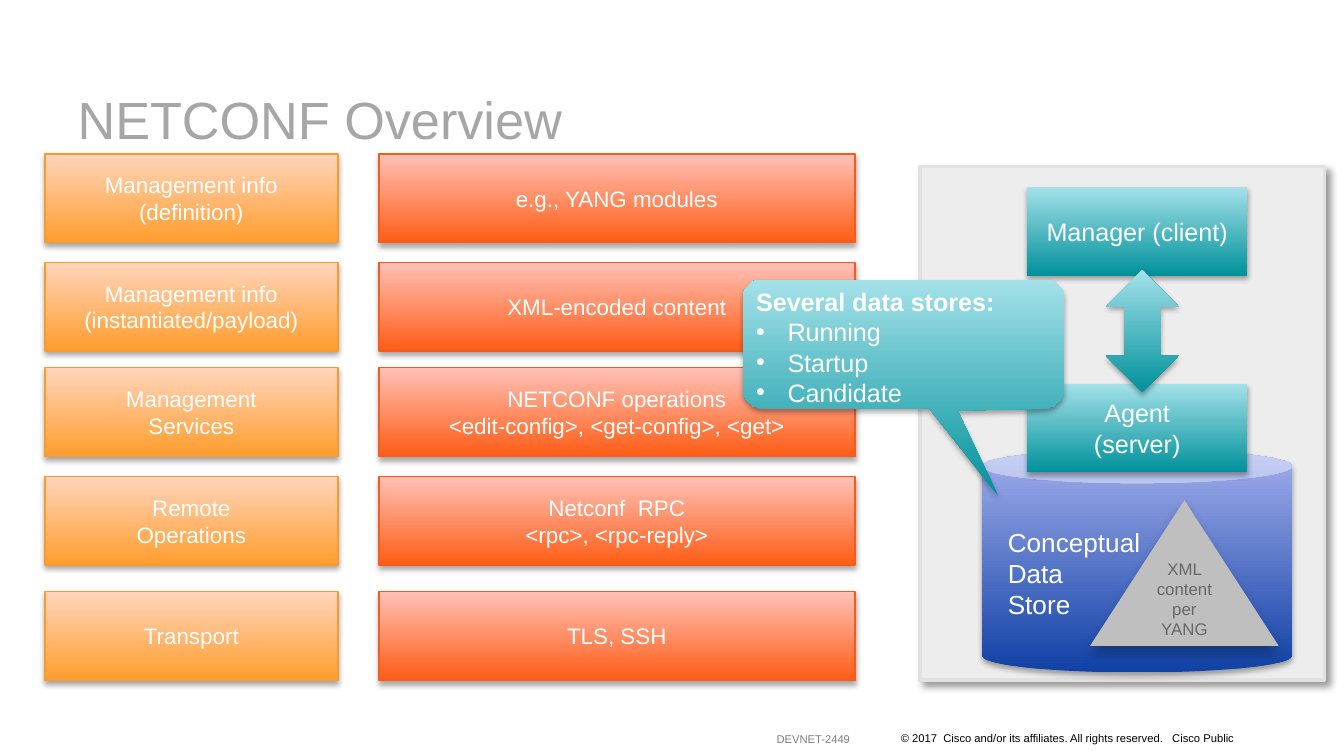
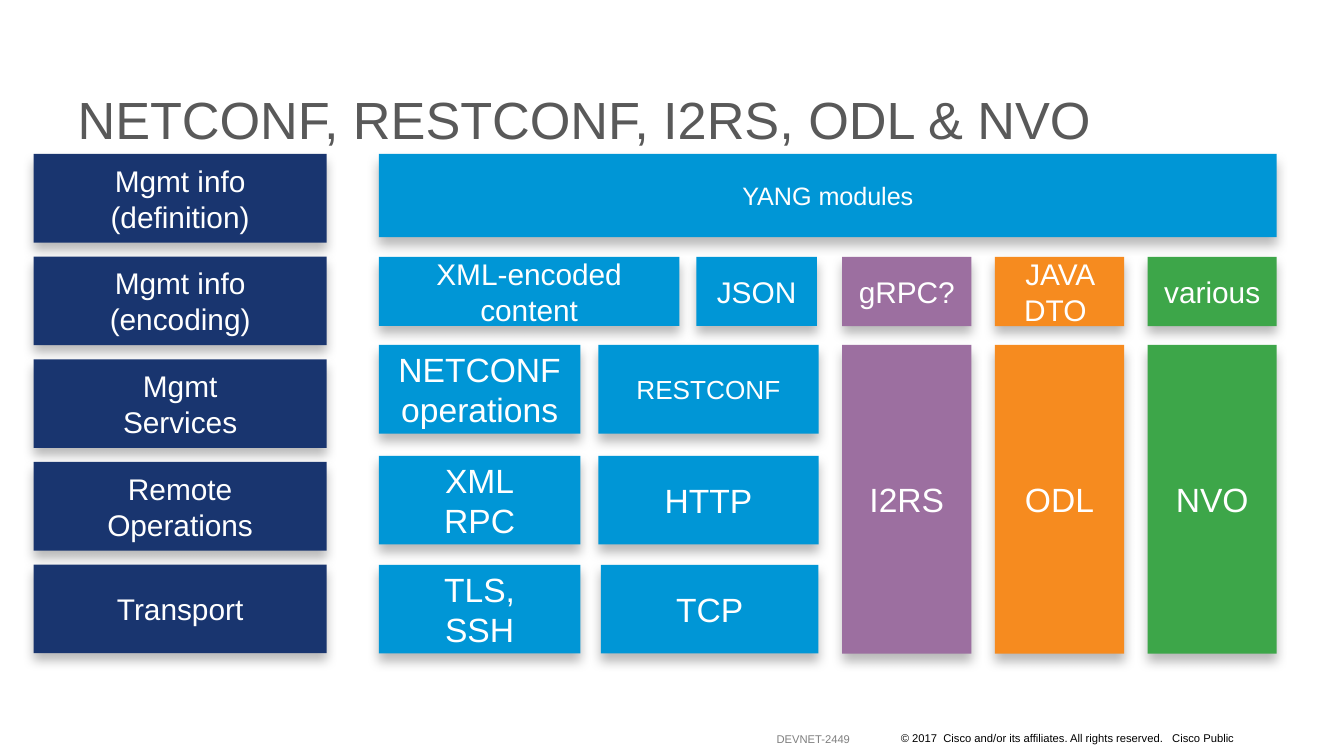
from dataclasses import dataclass
from math import cos, radians, sin

from lxml.etree import SubElement
from pptx import Presentation
from pptx.dml.color import RGBColor
from pptx.enum.shapes import MSO_SHAPE
from pptx.enum.text import MSO_ANCHOR, PP_ALIGN
from pptx.oxml.ns import qn
from pptx.shapes.autoshape import Shape
from pptx.slide import Slide
from pptx.util import Pt

FONT = "Arial"
WHITE = "FFFFFF"
CARD_H = 47.5
TOP = 82.5
LABEL_W = 157
MAIN_X = 203


@dataclass(frozen=True)
class Shadow:
    alpha: int
    blur: float
    dist: float
    angle: int = 90


@dataclass(frozen=True)
class Look:
    """One fill colour is solid; two run from the bottom to the top."""
    fill: tuple[str, ...]
    shadow: Shadow
    line: str | None = None
    line_w: float = 0.75


@dataclass(frozen=True)
class Box:
    x: float
    y: float
    w: float
    h: float


@dataclass(frozen=True)
class TextStyle:
    size: float
    color: str = WHITE
    align: PP_ALIGN = PP_ALIGN.LEFT
    anchor: MSO_ANCHOR = MSO_ANCHOR.TOP
    bold: bool = False


@dataclass(frozen=True)
class Card:
    box: Box
    text: str
    size: float
    look: Look


SOFT = Shadow(35, 3.1, 1.8)
DEEP = Shadow(27, 6, 4)
PANEL = Look(("EDEDED",), Shadow(40, 4, 3, 45), "E1E1E1", 2)
AMBER = Look(("FF9D2D", "FFD5BC"), SOFT, "F89A2D")
RED = Look(("FF5C15", "FFC1B7"), SOFT, "F25D1C")
TEAL = Look(("00919B", "A4E1E9"), SOFT)
STORE = Look(("1041A5", "A3AFED"), SOFT)
GREY = Look(("BFBFBF",), DEEP)
NAVY = Look(("19356F",), DEEP)
BLUE = Look(("0096D6",), DEEP)
PURPLE = Look(("9C6FA0",), DEEP)
ORANGE = Look(("F68B1F",), DEEP)
GREEN = Look(("3DA649",), DEEP)


def rgb(value: str) -> RGBColor:
    return RGBColor.from_string(value)


def apply_look(sp: Shape, look: Look) -> None:
    if len(look.fill) == 1:
        sp.fill.solid()
        sp.fill.fore_color.rgb = rgb(look.fill[0])
    else:
        sp.fill.gradient()
        sp.fill.gradient_angle = 90
        for stop, color in zip(sp.fill.gradient_stops, look.fill):
            stop.color.rgb = rgb(color)
    if look.line:
        sp.line.color.rgb = rgb(look.line)
        sp.line.width = Pt(look.line_w)
    else:
        sp.line.fill.background()
    sp.shadow.inherit = False
    effects = sp._element.spPr.find(qn("a:effectLst"))
    outer = SubElement(effects, qn("a:outerShdw"), {
        "blurRad": str(Pt(look.shadow.blur)), "dist": str(Pt(look.shadow.dist)),
        "dir": str(look.shadow.angle * 60000), "rotWithShape": "0"})
    color = SubElement(outer, qn("a:srgbClr"), val="000000")
    SubElement(color, qn("a:alpha"), val=str(look.shadow.alpha * 1000))


def add_paragraph(sp: Shape, text: str, style: TextStyle, bullet: bool = False) -> None:
    """Fill the empty first paragraph or add one; a vertical tab breaks the line."""
    tf = sp.text_frame
    p = tf.add_paragraph() if tf.text else tf.paragraphs[0]
    p.alignment = style.align
    if bullet:
        pPr = p._p.get_or_add_pPr()
        pPr.set("marL", str(Pt(16.8)))
        pPr.set("indent", str(-Pt(16.8)))
        SubElement(pPr, qn("a:buFont"), typeface=FONT)
        SubElement(pPr, qn("a:buChar"), char="•")
    for i, line in enumerate(text.split("\v")):
        if i:
            p.add_line_break()
        r = p.add_run()
        r.text = line
        r.font.name = FONT
        r.font.size = Pt(style.size)
        r.font.bold = style.bold
        r.font.color.rgb = rgb(style.color)


def write(sp: Shape, text: str, style: TextStyle, wrap: bool = True) -> None:
    sp.text_frame.word_wrap = wrap
    sp.text_frame.vertical_anchor = style.anchor
    for paragraph in text.split("\n"):
        add_paragraph(sp, paragraph, style)


def add_text(s: Slide, box: Box, text: str, style: TextStyle, wrap: bool = True) -> Shape:
    sp = s.shapes.add_textbox(Pt(box.x), Pt(box.y), Pt(box.w), Pt(box.h))
    write(sp, text, style, wrap)
    return sp


def add_box(s: Slide, kind: MSO_SHAPE, box: Box, look: Look) -> Shape:
    sp = s.shapes.add_shape(kind, Pt(box.x), Pt(box.y), Pt(box.w), Pt(box.h))
    apply_look(sp, look)
    return sp


def add_card(s: Slide, card: Card) -> None:
    sp = add_box(s, MSO_SHAPE.RECTANGLE, card.box, card.look)
    write(sp, card.text, TextStyle(card.size, align=PP_ALIGN.CENTER, anchor=MSO_ANCHOR.MIDDLE))


def add_footer(s: Slide, box: Box, text: str, color: str, align: PP_ALIGN) -> None:
    sp = add_text(s, box, text, TextStyle(6, color, align, MSO_ANCHOR.BOTTOM))
    tf = sp.text_frame
    tf.margin_left = tf.margin_right = Pt(5)
    tf.margin_top = tf.margin_bottom = Pt(2.2)


def new_slide(prs: Presentation, title: str, color: str) -> Slide:
    s = prs.slides.add_slide(prs.slide_layouts[6])
    s.background.fill.solid()
    s.background.fill.fore_color.rgb = rgb(WHITE)
    add_footer(s, Box(471.6, 389.2, 194.4, 12.25),
               "© 2017  Cisco and/or its affiliates. All rights reserved.   Cisco Public",
               "000000", PP_ALIGN.RIGHT)
    add_footer(s, Box(411, 389.5, 56.2, 12.25), "DEVNET-2449", "7F7F7F", PP_ALIGN.LEFT)
    sp = add_text(s, Box(34.5, 26.6, 657.4, 57.6), title,
                  TextStyle(28, color, anchor=MSO_ANCHOR.BOTTOM))
    sp.text_frame.paragraphs[0].line_spacing = 0.9
    return s


def callout_outline(box: Box, radius: float,
                    tail: list[tuple[float, float]]) -> list[tuple[float, float]]:
    """Rounded box, clockwise from its top left, with a tail in its lower side."""
    left, top = box.x + radius, box.y + radius
    right, bottom = box.x + box.w - radius, box.y + box.h - radius
    corners = [(left, top, 180), (right, top, 270), (right, bottom, 0), (left, bottom, 90)]
    points = []
    for cx, cy, start in corners:
        if start == 90:
            points += tail
        for step in range(0, 91, 10):
            a = radians(start + step)
            points.append((cx + radius * cos(a), cy + radius * sin(a)))
    return points


def add_callout(s: Slide) -> None:
    points = callout_outline(Box(397.7, 149.5, 172.8, 69.6), 11.5,
                             [(513.4, 219.6), (535, 265.5), (498.2, 219.1)])
    builder = s.shapes.build_freeform(points[0][0], points[0][1], scale=Pt(1))
    builder.add_line_segments(points[1:], close=True)
    sp = builder.convert_to_shape()
    apply_look(sp, TEAL)
    write(sp, "Several data stores:", TextStyle(13.5, bold=True))
    for store in ("Running", "Startup", "Candidate"):
        add_paragraph(sp, store, TextStyle(13.5), bullet=True)


def build_netconf(prs: Presentation) -> None:
    s = new_slide(prs, "NETCONF Overview", "A6A6A6")
    add_box(s, MSO_SHAPE.RECTANGLE, Box(492.8, 89.2, 216.8, 275.2), PANEL)
    layers = [
        (TOP, "Management info\n(definition)", "e.g., YANG modules"),
        (140.5, "Management info\n(instantiated/payload)", "XML-encoded content"),
        (197, "Management\nServices", "NETCONF operations\n<edit-config>, <get-config>, <get>"),
        (255.3, "Remote\nOperations", "Netconf  RPC\n<rpc>, <rpc-reply>"),
        (317, "Transport", "TLS, SSH"),
    ]
    for y, layer, example in layers:
        add_card(s, Card(Box(24, y, LABEL_W, CARD_H), layer, 12, AMBER))
        add_card(s, Card(Box(MAIN_X, y, 255, CARD_H), example, 12, RED))

    add_card(s, Card(Box(550.2, 100.2, 118, CARD_H), "Manager (client)", 13.5, TEAL))
    can = add_box(s, MSO_SHAPE.CAN, Box(526.2, 240.8, 166, 119.5), STORE)
    can.adjustments[0] = 0.151
    triangle = add_box(s, MSO_SHAPE.ISOSCELES_TRIANGLE, Box(584, 268, 101, 78), GREY)
    write(triangle, "XML content per YANG",
          TextStyle(9, "676767", PP_ALIGN.CENTER, MSO_ANCHOR.BOTTOM))
    add_text(s, Box(532.8, 278.2, 85.7, 58.3), "Conceptual\nData \vStore", TextStyle(14), wrap=False)
    add_card(s, Card(Box(550.2, 205.5, 118, CARD_H), "Agent\n(server)", 13.5, TEAL))
    add_callout(s)
    add_box(s, MSO_SHAPE.UP_DOWN_ARROW, Box(592.5, 144.7, 39, 65.5), TEAL)


def build_comparison(prs: Presentation) -> None:
    s = new_slide(prs, "NETCONF, RESTCONF, I2RS, ODL & NVO", "595959")
    layers = ["Mgmt info\n(definition)", "Mgmt info\n(encoding)", "Mgmt\nServices",
              "Remote\nOperations", "Transport"]
    for i, layer in enumerate(layers):
        add_card(s, Card(Box(18, TOP + 55 * i, LABEL_W, CARD_H), layer, 16, NAVY))

    encoding_y, services_y, remote_y, transport_y = 137.6, 184.8, 244.2, 302.6
    blue_cards = [
        (Box(MAIN_X, TOP, 481, 44.6), "YANG modules", 13.5),
        (Box(MAIN_X, encoding_y, 161, 37), "XML-encoded content", 16),
        (Box(373, encoding_y, 64.6, 37), "JSON", 16),
        (Box(MAIN_X, services_y, 108, CARD_H), "NETCONF operations", 18),
        (Box(MAIN_X, remote_y, 108, CARD_H), "XML\vRPC", 18),
        (Box(MAIN_X, transport_y, 108, CARD_H), "TLS,\nSSH", 18),
        (Box(320.5, services_y, 118, CARD_H), "RESTCONF", 14),
        (Box(320.5, remote_y, 118, CARD_H), "HTTP", 18),
        (Box(322, transport_y, 116.5, CARD_H), "TCP", 18),
    ]
    for box, text, size in blue_cards:
        add_card(s, Card(box, text, size, BLUE))

    stacks = [("gRPC?", "I2RS", PURPLE), ("JAVA DTO ", "ODL", ORANGE), ("various", "NVO", GREEN)]
    for i, (encoding, name, look) in enumerate(stacks):
        x = 451.2 + 81.8 * i
        add_card(s, Card(Box(x, encoding_y, 69.2, 37.2), encoding, 16, look))
        add_card(s, Card(Box(x, services_y, 69.2, 165.4), name, 18, look))


def main() -> None:
    prs = Presentation()
    prs.slide_width, prs.slide_height = Pt(720), Pt(405)
    build_netconf(prs)
    build_comparison(prs)
    prs.save("out.pptx")


if __name__ == "__main__":
    main()
